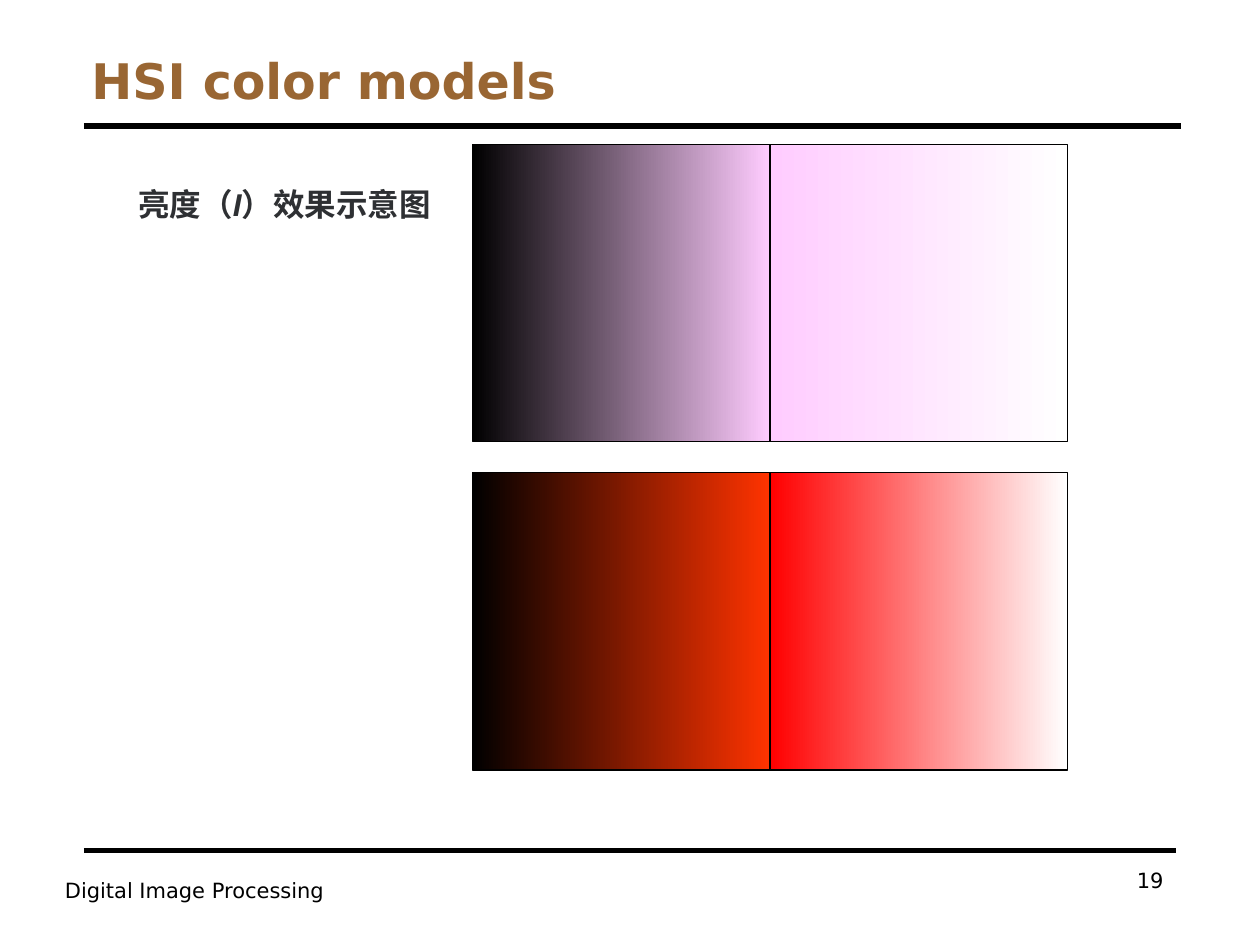
from pptx import Presentation
from pptx import util as u
from pptx.dml.color import RGBColor
from pptx.enum import shapes, text
from lxml import etree

TITLE = "HSI color models"
CAPTION = [("亮度（", False), ("I", True), ("）效果示意图", False)]
FOOTER = "Digital Image Processing"
PAGE = "19"
GRADIENTS = [
    [("000000", "FFCCFF"), ("FFCCFF", "FFFFFF")],
    [("000000", "FF3300"), ("FF0000", "FFFFFF")],
]
RULES = [(48, 72, 675), (48, 486, 672)]
THEME = {
    "font": "DejaVu Sans", "caption_font": "Arial",
    "title": "996633", "caption": "2E3033", "ink": "000000",
    "title_size": 28, "caption_size": 18, "footer_size": 12,
    "rule": 3.25, "outline": 0.75,
}
GRID_LEFT, GRID_TOP, SIDE, ROW_GAP = 270, 82.5, 170, 17.5

LEFT, RIGHT = text.PP_ALIGN.LEFT, text.PP_ALIGN.RIGHT


def rgb(key):
    return RGBColor.from_string(THEME[key])


def style(font, name, size, color, bold=False):
    font.name = THEME[name]
    font.size = u.Pt(THEME[size])
    font.color.rgb = rgb(color)
    font.bold = bold


def text_box(s, left, top, width, height):
    tf = s.shapes.add_textbox(*map(u.Pt, (left, top, width, height))).text_frame
    tf.word_wrap = True
    return tf


def add_title(s):
    sp = s.shapes.title
    sp.left, sp.top, sp.width, sp.height = map(u.Pt, (45, 24, 630, 42))
    tf = sp.text_frame
    tf.text = TITLE
    tf.auto_size = text.MSO_AUTO_SIZE.NONE
    tf.vertical_anchor = text.MSO_ANCHOR.BOTTOM
    p = tf.paragraphs[0]
    p.alignment = LEFT
    style(p.runs[0].font, "font", "title_size", "title", True)


def add_rule(s, x1, y, x2):
    line = s.shapes.add_connector(shapes.MSO_CONNECTOR.STRAIGHT,
                                  u.Pt(x1), u.Pt(y), u.Pt(x2), u.Pt(y))
    line.line.color.rgb = rgb("ink")
    line.line.width = u.Pt(THEME["rule"])
    props = line.line._get_or_add_ln().getparent()
    etree.SubElement(props, "{http://schemas.openxmlformats.org/drawingml/2006/main}effectLst")


def add_caption(s):
    tf = text_box(s, 72, 102, 246, 29)
    for part, italic in CAPTION:
        r = tf.paragraphs[0].add_run()
        r.text = part
        style(r.font, "caption_font", "caption_size", "caption", True)
        r.font.italic = italic


def add_footer(s, words, box, align):
    p = text_box(s, *box).paragraphs[0]
    p.text = words
    p.alignment = align
    style(p.runs[0].font, "font", "footer_size", "ink")


def add_gradients(s):
    for row, pairs in enumerate(GRADIENTS):
        group = s.shapes.add_group_shape()
        for col, colors in enumerate(pairs):
            left = GRID_LEFT + col * SIDE
            top = GRID_TOP + row * (SIDE + ROW_GAP)
            sp = group.shapes.add_shape(shapes.MSO_SHAPE.RECTANGLE,
                                        *map(u.Pt, (left, top, SIDE, SIDE)))
            sp.shadow.inherit = False
            sp.fill.gradient()
            sp.fill.gradient_angle = 0
            for stop, position, color in zip(sp.fill.gradient_stops, (0, 1), colors):
                stop.position = position
                stop.color.rgb = RGBColor.from_string(color)
            sp.line.color.rgb = rgb("ink")
            sp.line.width = u.Pt(THEME["outline"])


def main():
    prs = Presentation()
    prs.slide_width, prs.slide_height = u.Pt(720), u.Pt(540)
    s = prs.slides.add_slide(prs.slide_layouts[5])
    for rule in RULES:
        add_rule(s, *rule)
    add_footer(s, FOOTER, (30, 498, 204, 37.5), LEFT)
    add_footer(s, PAGE, (516, 492, 156, 37.5), RIGHT)
    add_title(s)
    add_caption(s)
    add_gradients(s)
    prs.save("out.pptx")


if __name__ == "__main__":
    main()
